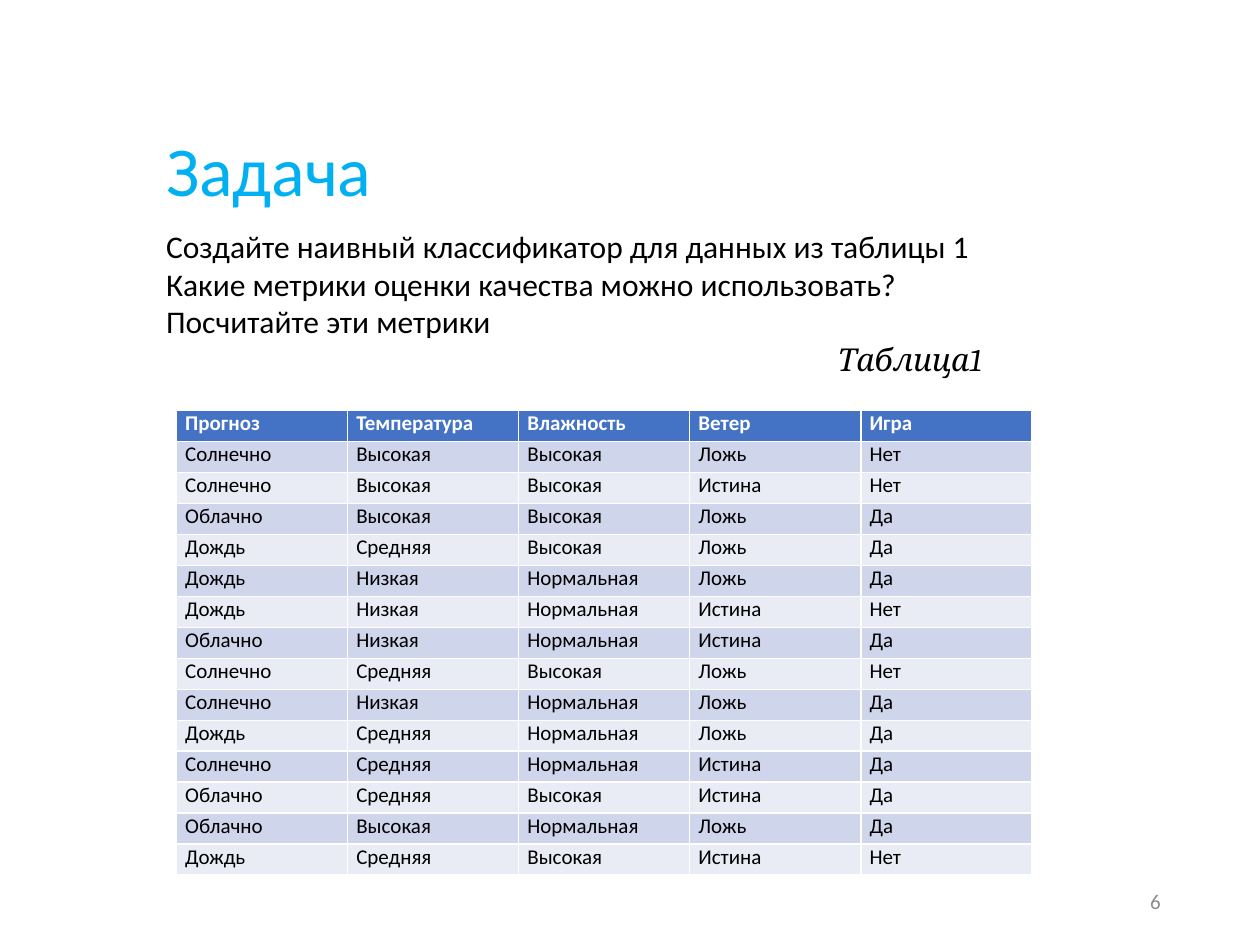
import pptx
import pptx.dml.color
import pptx.enum.text
import pptx.util
from pptx.util import Inches

COLORS = {
    "title": "00B0F0",
    "text": "000000",
    "page_number": "8C8C8C",
    "header": "4472C4",
    "header_text": "FFFFFF",
    "odd_row": "CFD5EA",
    "even_row": "E9EBF5",
}
ALIGN = pptx.enum.text.PP_ALIGN
ANCHOR = pptx.enum.text.MSO_ANCHOR

TASK = [
    "Создайте наивный классификатор для данных из таблицы 1",
    "Какие метрики оценки качества можно использовать?",
    "Посчитайте эти метрики",
    "Таблица1",
]
WEATHER = [
    ("Прогноз", "Температура", "Влажность", "Ветер", "Игра"),
    ("Солнечно", "Высокая", "Высокая", "Ложь", "Нет"),
    ("Солнечно", "Высокая", "Высокая", "Истина", "Нет"),
    ("Облачно", "Высокая", "Высокая", "Ложь", "Да"),
    ("Дождь", "Средняя", "Высокая", "Ложь", "Да"),
    ("Дождь", "Низкая", "Нормальная", "Ложь", "Да"),
    ("Дождь", "Низкая", "Нормальная", "Истина", "Нет"),
    ("Облачно", "Низкая", "Нормальная", "Истина", "Да"),
    ("Солнечно", "Средняя", "Высокая", "Ложь", "Нет"),
    ("Солнечно", "Низкая", "Нормальная", "Ложь", "Да"),
    ("Дождь", "Средняя", "Нормальная", "Ложь", "Да"),
    ("Солнечно", "Средняя", "Нормальная", "Истина", "Да"),
    ("Облачно", "Средняя", "Высокая", "Истина", "Да"),
    ("Облачно", "Высокая", "Нормальная", "Ложь", "Да"),
    ("Дождь", "Средняя", "Высокая", "Истина", "Нет"),
]


def rgb(name):
    return pptx.dml.color.RGBColor.from_string(COLORS[name])


def style_font(paragraph, size, color, bold=False):
    font = paragraph.runs[0].font
    font.name = "Calibri"
    font.size = pptx.util.Pt(size)
    font.bold = bold
    font.color.rgb = rgb(color)


def add_text(slide, box, lines, size, color, anchor=ANCHOR.TOP):
    """Add a text box with one paragraph per line; return its paragraphs."""
    frame = slide.shapes.add_textbox(*map(Inches, box)).text_frame
    frame.word_wrap = True
    frame.vertical_anchor = anchor
    frame.text = "\n".join(lines)
    for paragraph in frame.paragraphs:
        style_font(paragraph, size, color)
    return frame.paragraphs


def add_weather_table(slide):
    """Add the table; its default style supplies the white cell borders."""
    width, height = 6.79, 3.69
    table = slide.shapes.add_table(
        len(WEATHER), len(WEATHER[0]),
        Inches(1.4), Inches(3.26), Inches(width), Inches(height),
    ).table
    for row_index, values in enumerate(WEATHER):
        is_header = row_index == 0
        if is_header:
            fill = "header"
        else:
            fill = "odd_row" if row_index % 2 else "even_row"
        for column_index, value in enumerate(values):
            cell = table.cell(row_index, column_index)
            cell.margin_left = cell.margin_right = Inches(0.07)
            cell.margin_top = cell.margin_bottom = 0
            cell.fill.solid()
            cell.fill.fore_color.rgb = rgb(fill)
            cell.text_frame.text = value
            style_font(cell.text_frame.paragraphs[0], 12,
                       "header_text" if is_header else "text", is_header)


def main():
    presentation = pptx.Presentation()
    presentation.slide_width = Inches(10)
    presentation.slide_height = Inches(7.5)
    slide = presentation.slides.add_slide(presentation.slide_layouts[6])

    title, = add_text(slide, (1.22, 0.83, 7.21, 1.1), ["Задача"], 40, "title", ANCHOR.MIDDLE)
    title.line_spacing = 0.9

    page_number, = add_text(slide, (7.06, 6.95, 2.25, 0.4), ["6"], 12, "page_number", ANCHOR.MIDDLE)
    page_number.alignment = ALIGN.RIGHT

    add_weather_table(slide)

    table_caption = add_text(slide, (1.22, 1.75, 6.67, 1.31), TASK, 18, "text")[-1]
    table_caption.alignment = ALIGN.RIGHT
    caption_font = table_caption.runs[0].font
    caption_font.name = "Cambria"
    caption_font.italic = True

    presentation.save("out.pptx")


if __name__ == "__main__":
    main()
